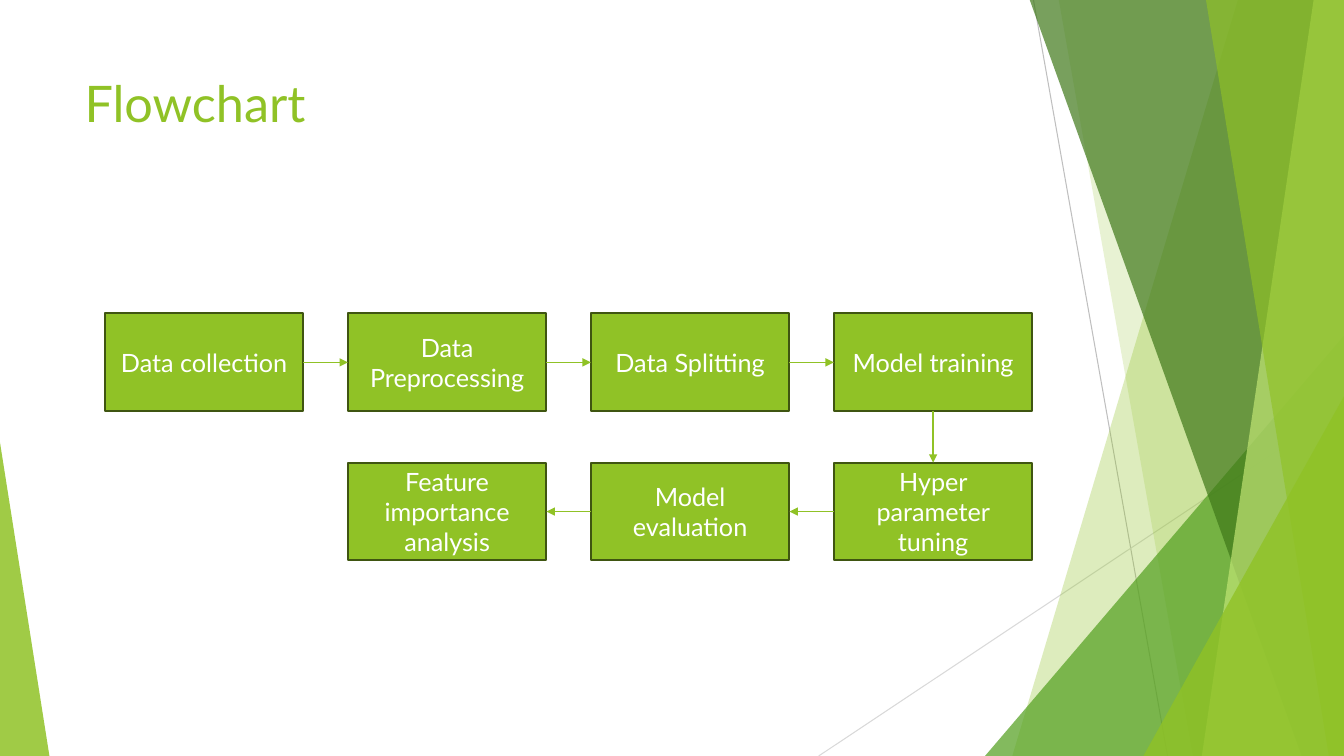
from itertools import pairwise

from lxml.etree import SubElement
from pptx import Presentation
from pptx.dml.color import RGBColor
from pptx.enum.shapes import MSO_CONNECTOR as Connector, MSO_SHAPE as Preset
from pptx.enum.text import MSO_ANCHOR as Anchor, PP_ALIGN as Align
from pptx.oxml.ns import qn
from pptx.util import Inches, Pt

WIDTH, HEIGHT = 13.33, 7.5
TOP = -0.01
FONT = "Lato"
COLORS = {
    "lime": "90C226",
    "green": "54A021",
    "forest": "3F7819",
    "pale": "C0E474",
    "border": "3F5511",
    "white": "FFFFFF",
    "gray": "BFBFBF",
    "light gray": "D9D9D9",
}

TITLE = "Flowchart"
STEPS = [
    ("Data collection", 0, 0),
    ("Data Preprocessing", 1, 0),
    ("Data Splitting", 2, 0),
    ("Model training", 3, 0),
    ("Hyper parameter tuning", 3, 1),
    ("Model evaluation", 2, 1),
    ("Feature importance analysis", 1, 1),
]
GRID = {"left": 1.04, "top": 3.11, "column": 2.41, "row": 1.48}
BOX_WIDTH, BOX_HEIGHT = 1.97, 0.97
SIDES = {(1, 0): (3, 1), (-1, 0): (1, 3), (0, 1): (2, 0)}

HAIRLINES = [
    ((10.25, 0), (11.58, HEIGHT), "gray"),
    ((WIDTH, 4.03), (8.12, HEIGHT), "light gray"),
]
FACETS = [
    ("band", 12.28, 10.04, "lime", 30),
    ("band", 10.5, 11.83, "lime", 20),
    ("triangle", (9.77, 3.33, 3.56), 1, "green", 72),
    ("band", 10.21, 12.91, "forest", 70),
    ("band", 13.03, 11.92, "pale", 70),
    ("band", 11.96, 13.18, "lime", 65),
    ("triangle", (11.34, 3.93, 1.99), 1, "lime", 80),
    ("triangle", (0, 4.39, 0.49), 0, "lime", 85),
]


def rgb(name):
    return RGBColor.from_string(COLORS[name])


def apply(target, values):
    for name, value in values.items():
        setattr(target, name, value)


def paint(shape, color, opacity=100):
    shape.shadow.inherit = False
    shape.fill.solid()
    shape.fill.fore_color.rgb = rgb(color)
    if opacity < 100:
        solid = shape.fill._xPr.find(qn("a:solidFill"))
        SubElement(solid[0], qn("a:alpha"), val=str(opacity * 1000))


def write(shape, text, size, color, frame_format, align):
    frame = shape.text_frame
    apply(frame, {"word_wrap": True, **frame_format})
    paragraph = frame.paragraphs[0]
    paragraph.alignment = align
    run = paragraph.add_run()
    run.text = text
    apply(run.font, {"name": FONT, "size": Pt(size)})
    run.font.color.rgb = rgb(color)


def add_line(slide, start, end, color, width):
    line = slide.shapes.add_connector(
        Connector.STRAIGHT, *(Inches(value) for value in (*start, *end)))
    line.line.color.rgb = rgb(color)
    line.line.width = Pt(width)
    SubElement(line._element.spPr, qn("a:effectLst"))
    return line


def add_band(slide, top_x, bottom_x):
    corners = [(top_x, TOP), (WIDTH, TOP), (WIDTH, HEIGHT), (bottom_x, HEIGHT)]
    first, *rest = [(Inches(x), Inches(y)) for x, y in corners]
    builder = slide.shapes.build_freeform(*first)
    builder.add_line_segments(rest, close=True)
    return builder.convert_to_shape()


def add_triangle(slide, place, apex):
    left, top, width = place
    triangle = slide.shapes.add_shape(
        Preset.ISOSCELES_TRIANGLE,
        *(Inches(value) for value in (left, top, width, HEIGHT - top)))
    triangle.adjustments[0] = apex
    return triangle


def add_backdrop(slide):
    for start, end, color in HAIRLINES:
        add_line(slide, start, end, color, 0.75)
    builders = {"band": add_band, "triangle": add_triangle}
    for kind, first, second, color, opacity in FACETS:
        facet = builders[kind](slide, first, second)
        paint(facet, color, opacity)
        facet.line.fill.background()


def add_step(slide, text, column, row):
    left = GRID["left"] + column * GRID["column"]
    top = GRID["top"] + row * GRID["row"]
    box = slide.shapes.add_shape(
        Preset.RECTANGLE,
        *(Inches(value) for value in (left, top, BOX_WIDTH, BOX_HEIGHT)))
    paint(box, "lime")
    box.line.color.rgb = rgb("border")
    box.line.width = Pt(1.5)
    write(box, text, 18, "white", {"vertical_anchor": Anchor.MIDDLE}, Align.CENTER)
    return box, column, row


def add_arrow(slide, source, target):
    source_box, source_column, source_row = source
    target_box, target_column, target_row = target
    begin, end = SIDES[target_column - source_column, target_row - source_row]
    arrow = add_line(slide, (0, 0), (0, 0), "lime", 1)
    arrow.begin_connect(source_box, begin)
    arrow.end_connect(target_box, end)
    SubElement(arrow.line._get_or_add_ln(), qn("a:tailEnd"), type="triangle")


def main():
    presentation = Presentation()
    apply(presentation, {"slide_width": Inches(WIDTH), "slide_height": Inches(HEIGHT)})
    slide = presentation.slides.add_slide(presentation.slide_layouts[6])
    add_backdrop(slide)
    title = slide.shapes.add_textbox(
        *(Inches(value) for value in (0.74, 0.67, 9.4, 1.44)))
    write(title, TITLE, 36, "lime", {"vertical_anchor": Anchor.TOP}, Align.LEFT)
    boxes = [add_step(slide, *step) for step in STEPS]
    for source, target in pairwise(boxes):
        add_arrow(slide, source, target)
    presentation.save("out.pptx")


if __name__ == "__main__":
    main()
